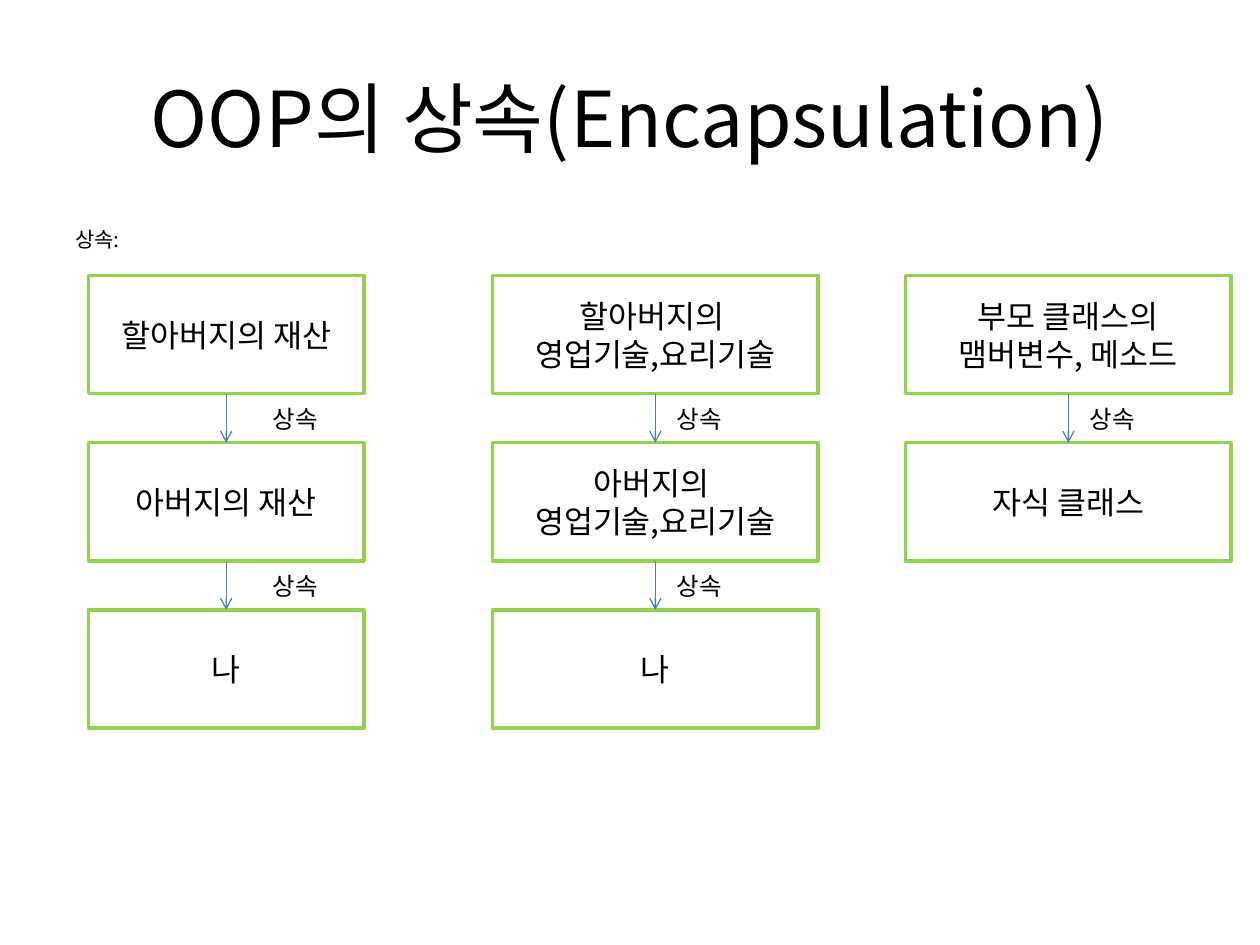
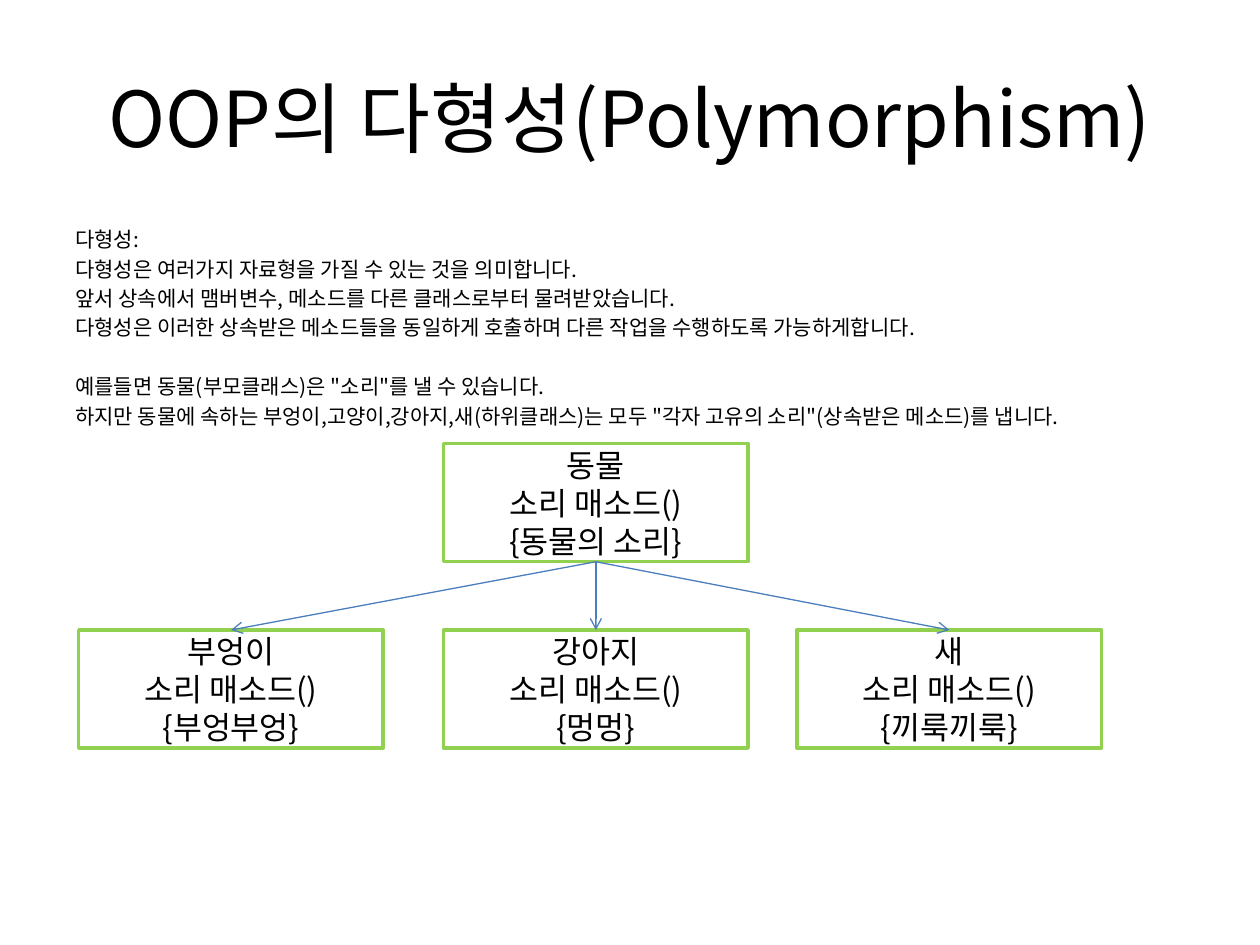
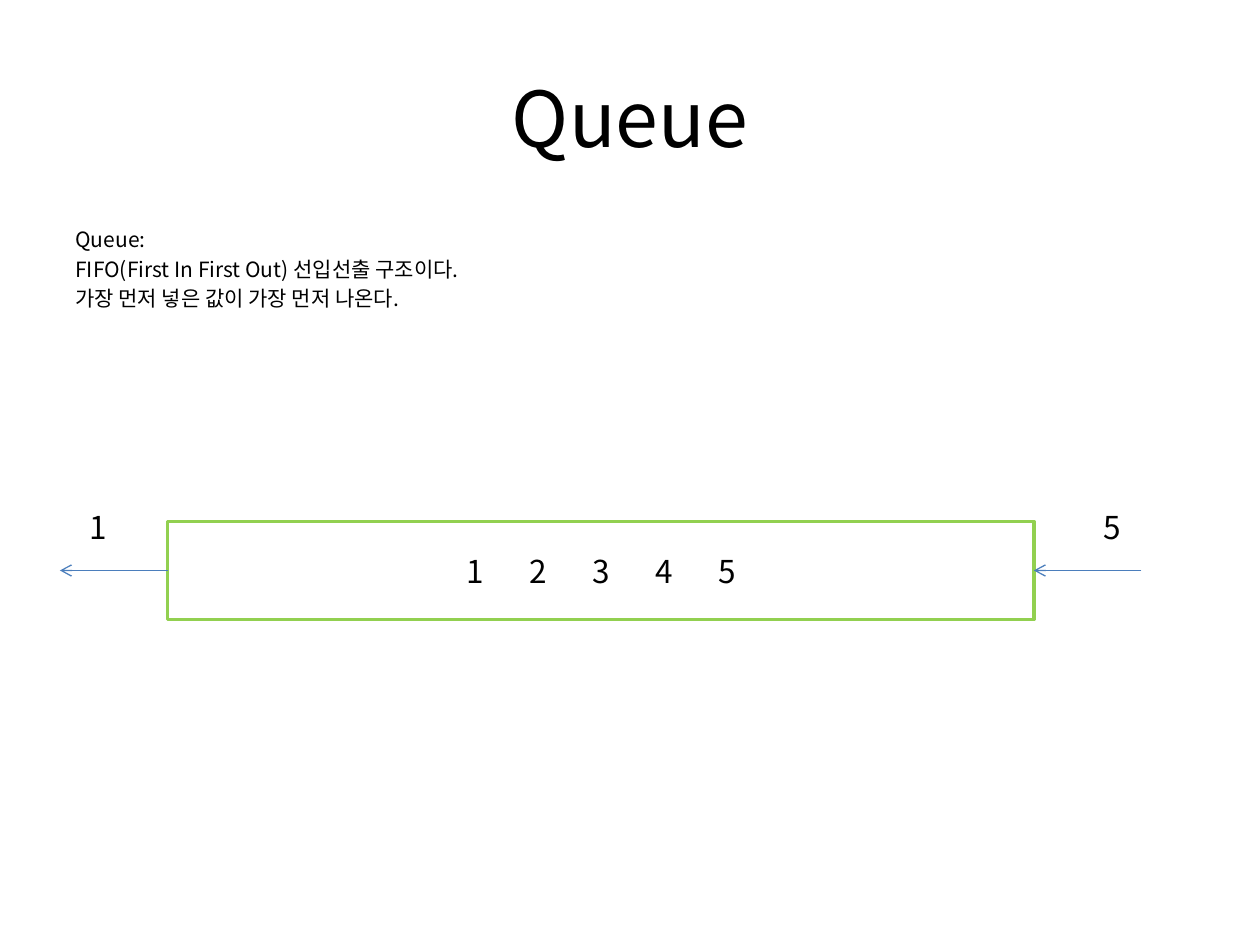
"""Build three slides on inheritance, polymorphism and queues."""
from pptx import Presentation
from pptx.dml.color import RGBColor
from pptx.enum.shapes import MSO_CONNECTOR as Connector, MSO_SHAPE as Shape
from pptx.enum.text import MSO_ANCHOR as Anchor, PP_ALIGN as Align
from pptx.oxml.ns import qn
from pptx.util import Pt
from lxml.etree import SubElement

BLACK = RGBColor(0x00, 0x00, 0x00)
WHITE = RGBColor(0xFF, 0xFF, 0xFF)
GREEN = RGBColor(0x92, 0xD0, 0x50)
BLUE = RGBColor(0x4B, 0x7E, 0xBC)
FONT = "Noto Sans CJK KR"

INHERITANCE_TITLE = "OOP의 상속(Encapsulation)"
INHERITANCE_NOTES = [["상속:"]]
INHERITED = "상속"
INHERITANCE_CHAINS = [
    (50.5, 157.5, ["할아버지의 재산", "아버지의 재산", "나"]),
    (281.5, 186, ["할아버지의 \n영업기술,요리기술", "아버지의 \n영업기술,요리기술", "나"]),
    (517.5, 186, ["부모 클래스의\n맴버변수, 메소드", "자식 클래스"]),
]

POLYMORPHISM_TITLE = "OOP의 다형성(Polymorphism)"
POLYMORPHISM_NOTES = [
    [
        "다형성:",
        "다형성은 여러가지 자료형을 가질 수 있는 것을 의미합니다.",
        "앞서 상속에서 맴버변수, 메소드를 다른 클래스로부터 물려받았습니다.",
        "다형성은 이러한 상속받은 메소드들을 동일하게 호출하며 다른 작업을 수행하도록 가능하게합니다.",
    ],
    [
        '예를들면 동물(부모클래스)은 "소리"를 낼 수 있습니다.',
        '하지만 동물에 속하는 부엉이,고양이,강아지,새(하위클래스)는 모두 "각자 고유의 소리"(상속받은 메소드)를 냅니다.',
    ],
]
PARENT = (253.5, "동물", "동물의 소리")
CHILDREN = [(253.5, "강아지", "멍멍"), (45, "부엉이", "부엉부엉"), (455.5, "새", "끼룩끼룩")]

QUEUE_TITLE = "Queue"
QUEUE_NOTES = [["Queue:", "FIFO(First In First Out) 선입선출 구조이다.", "가장 먼저 넣은 값이 가장 먼저 나온다."]]
QUEUE_VALUES = ["1", "2", "3", "4", "5"]

BOX_HEIGHT = 67.5
CHAIN_TOP, CHAIN_STEP = 157.5, 95.5
LABEL_OFFSET, LABEL_WIDTH, LABEL_HEIGHT = 62, 112.5, 17
CLASS_WIDTH, PARENT_TOP, CHILD_TOP = 174, 253.5, 360
QUEUE_LEFT, QUEUE_TOP, QUEUE_WIDTH, QUEUE_HEIGHT = 95.75, 298, 495, 56
QUEUE_ARROW = 61.5
END_WIDTH, END_HEIGHT, END_TOP = 67.5, 39.5, 281.5
NOTE_SPACING, SECTION_SPACING, HANGING = 2.4, 19.3, 27


def write(shape, lines, size, align=Align.CENTER, anchor=Anchor.MIDDLE):
    """Fill a shape with one paragraph per line."""
    frame = shape.text_frame
    for name, value in {"word_wrap": True, "vertical_anchor": anchor}.items():
        setattr(frame, name, value)
    font_format = {"name": FONT, "size": Pt(size)}
    for index, line in enumerate(lines):
        paragraph = frame.paragraphs[0] if index == 0 else frame.add_paragraph()
        paragraph.alignment = align
        run = paragraph.add_run()
        run.text = line
        for name, value in font_format.items():
            setattr(run.font, name, value)
        run.font.color.rgb = BLACK
        SubElement(run.font._element, qn("a:ea"), typeface=FONT)
    return frame.paragraphs


def add_text(slide, place, lines, size, **layout):
    """Add a text box."""
    return write(slide.shapes.add_textbox(*map(Pt, place)), lines, size, **layout)


def add_box(slide, place, text, fill=None, outline=GREEN):
    """Add a rectangle with centred text."""
    box = slide.shapes.add_shape(Shape.RECTANGLE, *map(Pt, place))
    box.shadow.inherit = False
    if fill is None:
        box.fill.background()
    else:
        box.fill.solid()
        box.fill.fore_color.rgb = fill
    if outline is None:
        box.line.fill.background()
    else:
        box.line.color.rgb = outline
        box.line.width = Pt(2)
    write(box, text.split("\n"), 18)


def add_arrow(slide, *ends):
    """Add a thin arrow between two points."""
    arrow = slide.shapes.add_connector(Connector.STRAIGHT, *map(Pt, ends))
    arrow.line.color.rgb = BLUE
    arrow.line.width = Pt(0.75)
    SubElement(arrow.line._get_or_add_ln(), qn("a:tailEnd"), type="arrow")
    SubElement(arrow._element.spPr, qn("a:effectLst"))


def add_slide(presentation, title, sections):
    """Add a slide with its title and notes."""
    slide = presentation.slides.add_slide(presentation.slide_layouts[6])
    add_text(slide, (36, 21.6, 648, 90), [title], 44)
    lines = [line for section in sections for line in section]
    openers = [section[0] for section in sections[1:]]
    paragraphs = add_text(slide, (36, 126, 648, 356.5), lines, 12, align=Align.LEFT, anchor=Anchor.TOP)
    for paragraph, line in zip(paragraphs, lines):
        paragraph.space_before = Pt(SECTION_SPACING if line in openers else NOTE_SPACING)
        properties = paragraph._p.get_or_add_pPr()
        for name, value in {"marL": HANGING, "indent": -HANGING}.items():
            properties.set(name, str(Pt(value)))
    return slide


def build_inheritance(presentation):
    """Draw the chains of inheritance."""
    slide = add_slide(presentation, INHERITANCE_TITLE, INHERITANCE_NOTES)
    gap = CHAIN_STEP - BOX_HEIGHT
    for left, width, members in INHERITANCE_CHAINS:
        center = left + width / 2
        for level, member in enumerate(members):
            top = CHAIN_TOP + level * CHAIN_STEP
            add_box(slide, (left, top, width, BOX_HEIGHT), member)
            if level:
                add_arrow(slide, center, top - gap, center, top)
                label_top = top - (gap + LABEL_HEIGHT) / 2
                add_text(slide, (left + LABEL_OFFSET, label_top, LABEL_WIDTH, LABEL_HEIGHT), [INHERITED], 14)


def build_polymorphism(presentation):
    """Draw the parent class and its children."""
    slide = add_slide(presentation, POLYMORPHISM_TITLE, POLYMORPHISM_NOTES)
    for top, classes in ((PARENT_TOP, [PARENT]), (CHILD_TOP, CHILDREN)):
        for left, name, sound in classes:
            add_box(slide, (left, top, CLASS_WIDTH, BOX_HEIGHT), f"{name}\n소리 매소드()\n{{{sound}}}")
    half = CLASS_WIDTH / 2
    for left, _, _ in CHILDREN:
        add_arrow(slide, PARENT[0] + half, PARENT_TOP + BOX_HEIGHT, left + half, CHILD_TOP)


def build_queue(presentation):
    """Draw the queue with its exit and entry."""
    slide = add_slide(presentation, QUEUE_TITLE, QUEUE_NOTES)
    add_box(slide, (QUEUE_LEFT, QUEUE_TOP, QUEUE_WIDTH, QUEUE_HEIGHT), "\t".join(QUEUE_VALUES))
    middle = QUEUE_TOP + QUEUE_HEIGHT / 2
    right = QUEUE_LEFT + QUEUE_WIDTH
    ends = [
        (QUEUE_LEFT, 22.25, QUEUE_VALUES[0]),
        (right + QUEUE_ARROW, 602, QUEUE_VALUES[-1]),
    ]
    for start, left, value in ends:
        add_arrow(slide, start, middle, start - QUEUE_ARROW, middle)
        add_box(slide, (left, END_TOP, END_WIDTH, END_HEIGHT), value, fill=WHITE, outline=None)


def main():
    """Build and save the presentation."""
    presentation = Presentation()
    for name, value in {"slide_width": Pt(720), "slide_height": Pt(540)}.items():
        setattr(presentation, name, value)
    for build in (build_inheritance, build_polymorphism, build_queue):
        build(presentation)
    presentation.save("out.pptx")


if __name__ == "__main__":
    main()
